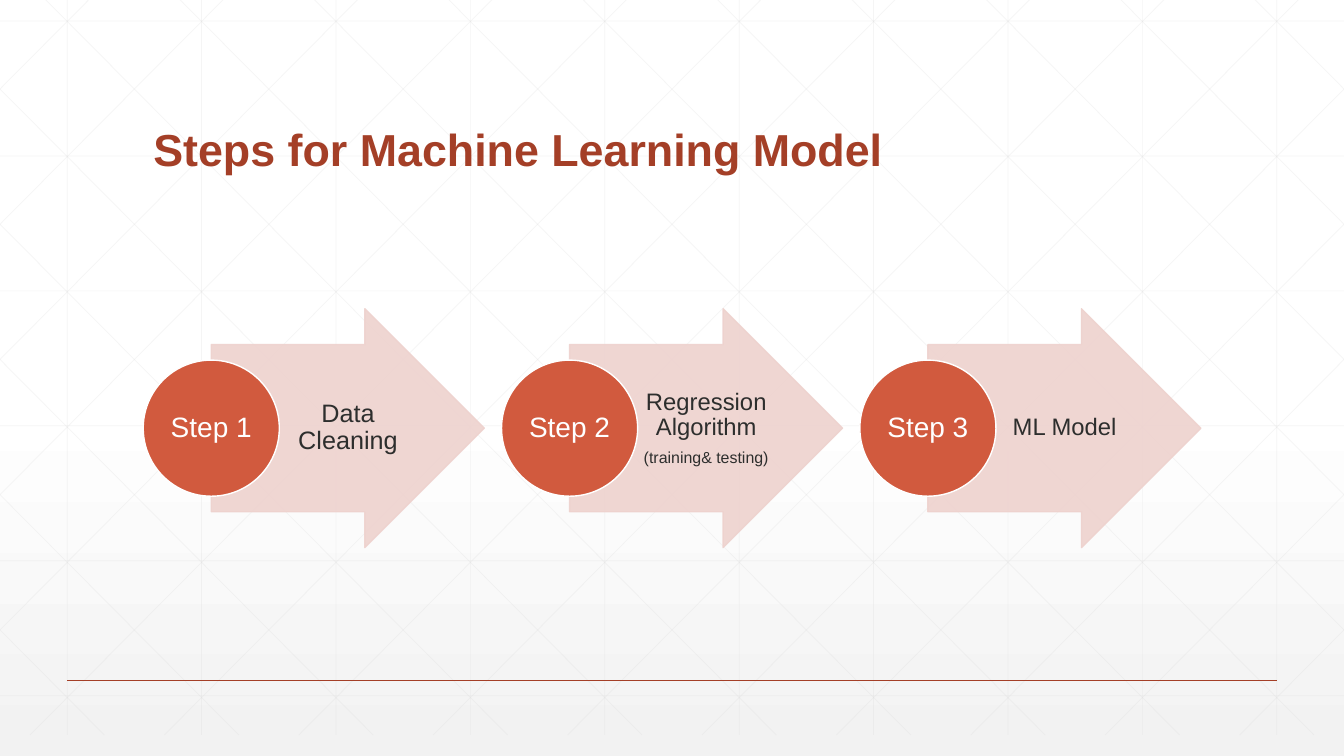
import copy
from dataclasses import dataclass

import pptx
import pptx.dml.color
import pptx.enum.shapes
import pptx.enum.text
import pptx.oxml.ns
import pptx.util
from lxml import etree

Cm, Pt = pptx.util.Cm, pptx.util.Pt
RGB = pptx.dml.color.RGBColor.from_string
qn = pptx.oxml.ns.qn
SHAPE = pptx.enum.shapes.MSO_SHAPE
ANCHOR = pptx.enum.text.MSO_ANCHOR
ALIGN = pptx.enum.text.PP_ALIGN

WIDTH, HEIGHT = 33.87, 19.05


@dataclass
class Theme:
    font: str = "Arial"
    accent: str = "A43F27"
    circle: str = "D15A3E"
    arrow: str = "EED2CE"
    dark: str = "2D2E2D"
    white: str = "FFFFFF"
    shade: str = "F2F2F2"
    grid: str = "D9D9D9"
    title_size: float = 32
    step_size: float = 20
    large_size: float = 18
    label_size: float = 17
    note_size: float = 11.4


class Deck:
    def __init__(self, prs, theme):
        self.theme = theme
        self.s = prs.slides.add_slide(prs.slide_layouts[5])

    def opacity(self, element, percent):
        for color in element.iter(qn("a:srgbClr")):
            etree.SubElement(color, qn("a:alpha"), val=str(percent * 1000))

    def background(self):
        fill = self.s.background.fill
        fill.gradient()
        fill.gradient_angle = 270
        stops = self.s.element.find(".//" + qn("a:gsLst"))
        stops.insert(1, copy.deepcopy(stops[0]))
        colors = (self.theme.white, self.theme.white, self.theme.shade)
        for stop, color, position in zip(fill.gradient_stops, colors, (0, 0.53, 1)):
            stop.color.rgb = RGB(color)
            stop.position = position

    def line(self, x1, y1, x2, y2, color, width, percent=100):
        c = self.s.shapes.add_connector(
            pptx.enum.shapes.MSO_CONNECTOR.STRAIGHT, Cm(x1), Cm(y1), Cm(x2), Cm(y2))
        c.line.color.rgb = RGB(color)
        c.line.width = Pt(width)
        if percent < 100:
            self.opacity(c.element.spPr, percent)
        etree.SubElement(c.element.spPr, qn("a:effectLst"))

    def shape(self, kind, x, y, w, h, fill, outline, percent=100):
        sp = self.s.shapes.add_shape(kind, Cm(x), Cm(y), Cm(w), Cm(h))
        sp.fill.solid()
        sp.fill.fore_color.rgb = RGB(fill)
        sp.line.color.rgb = RGB(outline)
        sp.line.width = Pt(1)
        if percent < 100:
            self.opacity(sp.element.spPr, percent)
        sp.shadow.inherit = False
        return sp

    def textbox(self, x, y, w, h):
        return self.s.shapes.add_textbox(Cm(x), Cm(y), Cm(w), Cm(h))

    def set_label(self, sp, text, sizes, color, margins=(0.03, 0.03)):
        tf = sp.text_frame
        tf.text = text
        tf.word_wrap = True
        tf.vertical_anchor = ANCHOR.MIDDLE
        tf.margin_left, tf.margin_right = map(Cm, margins)
        tf.margin_top = tf.margin_bottom = Cm(0.03)
        for i, (p, size) in enumerate(zip(tf.paragraphs, sizes)):
            p.alignment = ALIGN.CENTER
            self.style(p, size, color)
            if i:
                p.space_before = Pt(6)

    def style(self, p, size, color, bold=False):
        p.line_spacing = 0.9
        for r in p.runs:
            r.font.name = self.theme.font
            r.font.size = Pt(size)
            r.font.bold = bold
            r.font.color.rgb = RGB(color)

    def title(self, text, x, y, w, h):
        sp = self.s.shapes.title
        sp.left, sp.top, sp.width, sp.height = Cm(x), Cm(y), Cm(w), Cm(h)
        tf = sp.text_frame
        tf.text = text
        tf.word_wrap = True
        tf.vertical_anchor = ANCHOR.BOTTOM
        tf.paragraphs[0].alignment = ALIGN.LEFT
        self.style(tf.paragraphs[0], self.theme.title_size, self.theme.accent, True)
        # Bring the title in front of the grid
        sp.element.getparent().append(sp.element)

    def grid(self):
        pitch, top, bottom = WIDTH / 10, -0.53, 18.52
        slope = 7.5 / 7.455
        lines = [((i + 0.5) * pitch, top, (i + 0.5) * pitch, bottom) for i in range(10)]
        lines += [(0, 0.53 + 3.4 * i, WIDTH, 0.53 + 3.4 * i) for i in range(6)]
        # Diagonals are cut at the slide sides, then mirrored
        for i in range(-5, 10):
            start = 0.63 + i * pitch
            x1, x2 = max(0, start), min(WIDTH, start + (bottom - top) / slope)
            y1, y2 = (top + (x - start) * slope for x in (x1, x2))
            lines += [(x1, y1, x2, y2), (WIDTH - x1, y1, WIDTH - x2, y2)]
        for ends in lines:
            self.line(*ends, self.theme.grid, 0.5, 25)

    def step(self, x, middle, name, label, sizes):
        t, diameter = self.theme, 3.43
        arrow = self.shape(SHAPE.RIGHT_ARROW, x + diameter / 2, middle - 3.01,
                           6.88, 6.02, t.arrow, t.arrow, 90)
        arrow.adjustments[0], arrow.adjustments[1] = 0.7, 0.5
        box = self.textbox(x + 3.45, middle - 2.11, 3.35, 4.22)
        self.set_label(box, label, sizes, t.dark, (0.13, 0.06))
        circle = self.shape(SHAPE.OVAL, x, middle - diameter / 2,
                            diameter, diameter, t.circle, t.white)
        self.set_label(circle, name, [t.step_size], t.white)


def main():
    prs = pptx.Presentation()
    prs.slide_width, prs.slide_height = Cm(WIDTH), Cm(HEIGHT)
    theme = Theme()
    deck = Deck(prs, theme)

    # Backdrop
    deck.background()
    deck.grid()
    deck.line(1.69, 17.15, WIDTH - 1.69, 17.15, theme.accent, 1)

    # Title
    deck.title("Steps for Machine Learning Model", 3.61, 1.4, 26.67, 3.18)

    # Process steps
    steps = [
        ("Data Cleaning", [theme.large_size]),
        ("Regression Algorithm\n(training& testing)", [theme.label_size, theme.note_size]),
        ("ML Model", [theme.label_size]),
    ]
    for i, (label, sizes) in enumerate(steps):
        deck.step(3.61 + 9.03 * i, 10.79, f"Step {i + 1}", label, sizes)

    prs.save("out.pptx")


if __name__ == "__main__":
    main()
